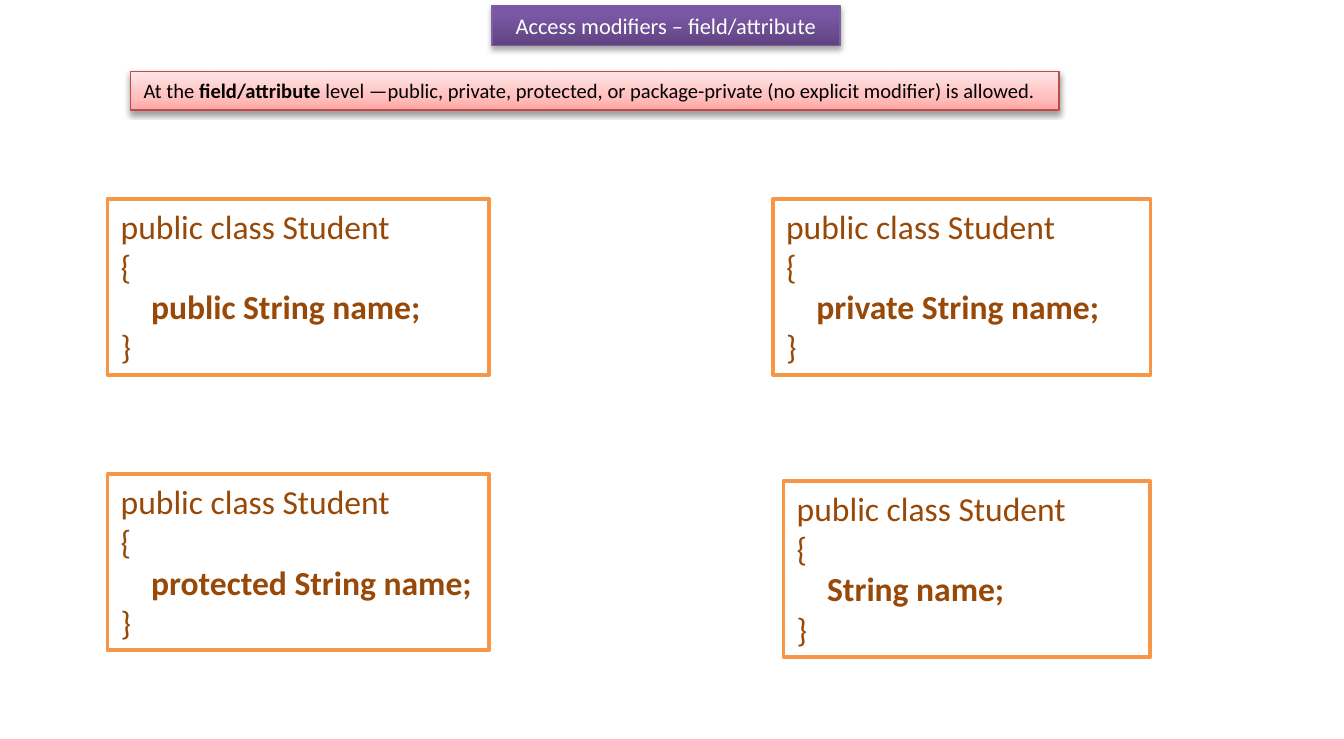
from lxml.etree import SubElement
from pptx import Presentation
from pptx.dml.color import RGBColor
from pptx.enum.shapes import MSO_SHAPE
from pptx.enum.text import MSO_ANCHOR, MSO_AUTO_SIZE, PP_ALIGN
from pptx.oxml.ns import qn
from pptx.util import Inches, Pt

COLORS = {
    "white": "FFFFFF",
    "black": "000000",
    "title_line": "7D60A0",
    "rule_line": "BF4C48",
    "code_line": "F79646",
    "code_text": "984807",
}
# Gradient stops as (percent, colour), running from bottom to top
TITLE_GRADIENT = [(0, "5F4480"), (80, "7B58A6"), (100, "7C57A8")]
RULE_GRADIENT = [(0, "FFA6A5"), (35, "FFC0BF"), (100, "FFE7E7")]


class SlideBuilder:
    font_name = "Calibri"

    def __init__(self, slide):
        self.slide = slide

    def box(self, left, top, width, height, line, line_width, wrap=True):
        shape = self.slide.shapes.add_shape(
            MSO_SHAPE.RECTANGLE, Inches(left), Inches(top), Inches(width), Inches(height))
        shape.shadow.inherit = False
        shape.line.color.rgb = RGBColor.from_string(COLORS[line])
        shape.line.width = Pt(line_width)
        text_frame = shape.text_frame
        text_frame.word_wrap = wrap
        text_frame.auto_size = MSO_AUTO_SIZE.SHAPE_TO_FIT_TEXT
        text_frame.vertical_anchor = MSO_ANCHOR.TOP
        return shape

    def add_runs(self, paragraph, runs, size, color, align=PP_ALIGN.LEFT):
        """Fill a paragraph with (text, bold) runs."""
        paragraph.alignment = align
        for text, bold in runs:
            run = paragraph.add_run()
            run.text = text
            run.font.name = self.font_name
            run.font.size = Pt(size)
            run.font.bold = bold
            run.font.color.rgb = RGBColor.from_string(COLORS[color])

    def gradient(self, shape, stops):
        shape.fill.gradient()
        shape.fill.gradient_angle = 90
        stop_list = shape._element.spPr.find(qn("a:gradFill")).find(qn("a:gsLst"))
        for stop in list(stop_list):
            stop_list.remove(stop)
        for percent, color in stops:
            stop = SubElement(stop_list, qn("a:gs"), pos=str(percent * 1000))
            SubElement(stop, qn("a:srgbClr"), val=color)

    def drop_shadow(self, shape, opacity, distance):
        effects = shape._element.spPr.find(qn("a:effectLst"))
        shadow = SubElement(
            effects, qn("a:outerShdw"), blurRad=str(Pt(3.1)), dist=str(Pt(distance)),
            dir="5400000", rotWithShape="0")
        color = SubElement(shadow, qn("a:srgbClr"), val=COLORS["black"])
        SubElement(color, qn("a:alpha"), val=str(opacity * 1000))

    def banner(self, position, runs, stops, line, size, color, align, shadow, wrap=True):
        shape = self.box(*position, line, 0.75, wrap)
        self.gradient(shape, stops)
        self.drop_shadow(shape, *shadow)
        self.add_runs(shape.text_frame.paragraphs[0], runs, size, color, align)

    def code_box(self, left, top, width, field, wrap=True):
        shape = self.box(left, top, width, 1.31, "code_line", 2, wrap)
        shape.fill.solid()
        shape.fill.fore_color.rgb = RGBColor.from_string(COLORS["white"])
        lines = [
            [("public class Student", False)],
            [("{", False)],
            [("    ", False), (field, True)],
            [("}", False)],
        ]
        text_frame = shape.text_frame
        for index, runs in enumerate(lines):
            paragraph = text_frame.add_paragraph() if index else text_frame.paragraphs[0]
            self.add_runs(paragraph, runs, 18, "code_text")


def main():
    presentation = Presentation()
    presentation.slide_width = Inches(10)
    presentation.slide_height = Inches(5.5)
    builder = SlideBuilder(presentation.slides.add_slide(presentation.slide_layouts[6]))

    # Title
    builder.banner(
        (3.66, 0.04, 2.59, 0.3), [("Access modifiers – field/attribute", False)],
        TITLE_GRADIENT, "title_line", 12, "white", PP_ALIGN.CENTER, (35, 1.8))

    # One code sample per access level
    builder.code_box(0.8, 1.48, 2.84, "public String name;")
    builder.code_box(5.75, 1.48, 2.81, "private String name;")
    builder.code_box(5.83, 3.58, 2.73, "String name;")
    builder.code_box(0.8, 3.53, 2.84, "protected String name;", wrap=False)

    # Rule under the title
    rule = [
        ("At the ", False),
        ("field/attribute", True),
        (" level —public, private, protected, or package-private "
         "(no explicit modifier) is allowed.", False),
    ]
    builder.banner(
        (0.97, 0.53, 6.91, 0.29), rule, RULE_GRADIENT, "rule_line", 11, "black",
        PP_ALIGN.LEFT, (38, 1.6), wrap=False)

    presentation.save("out.pptx")


if __name__ == "__main__":
    main()
